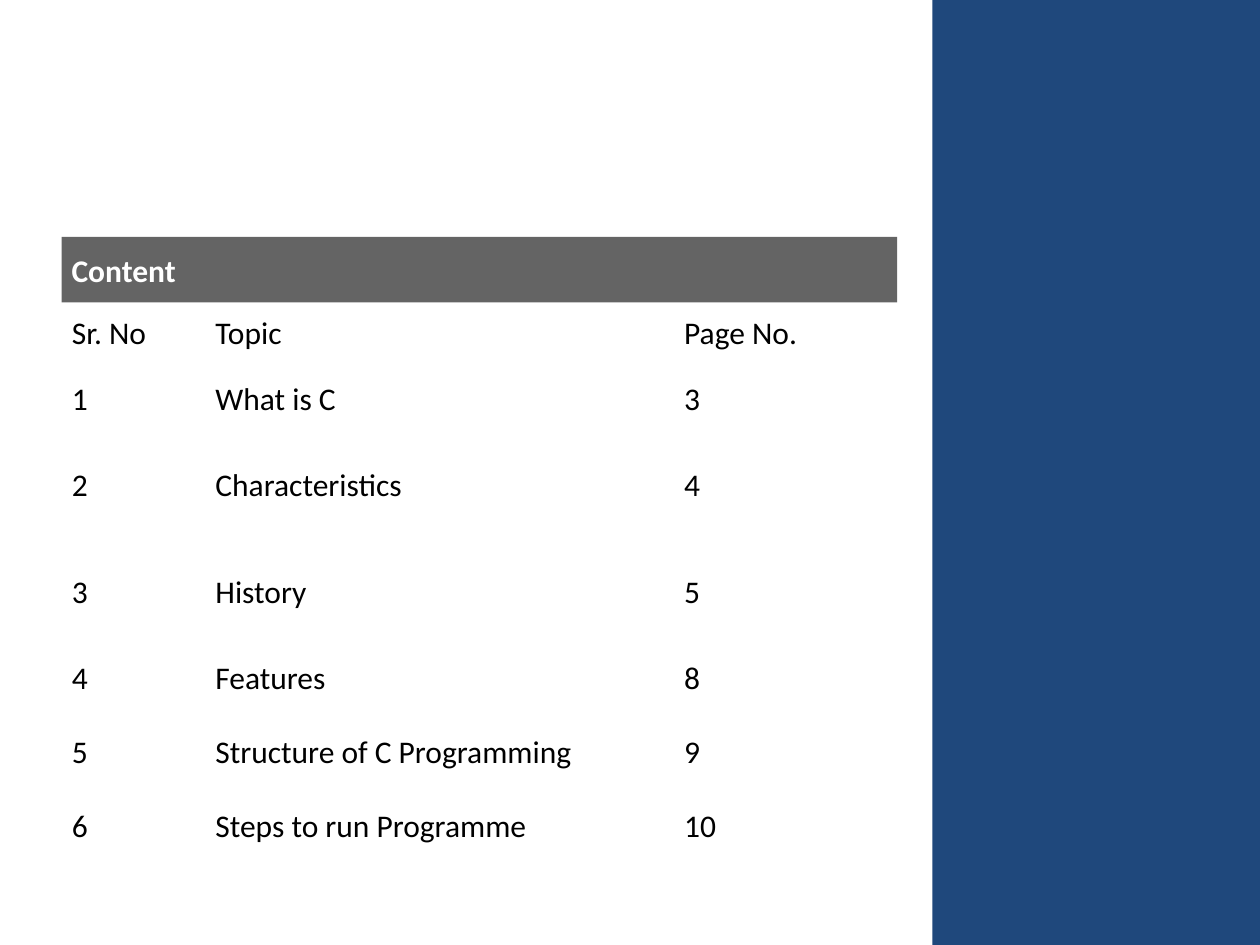
from pptx import Presentation
from pptx.dml.color import RGBColor
from pptx.enum.shapes import MSO_SHAPE as Preset
from pptx.enum.text import MSO_ANCHOR as Anchor
from pptx.oxml.ns import qn
from pptx.util import Inches, Pt

WHITE = RGBColor(0xFF, 0xFF, 0xFF)
BLACK = RGBColor(0x00, 0x00, 0x00)
GREY = RGBColor(0x64, 0x64, 0x64)
NAVY = RGBColor(0x1F, 0x48, 0x7C)
FONT = "Calibri"
NO_STYLE_NO_GRID = "{2D5ABB26-0587-4C30-8999-92F81FD0307C}"

HEADINGS = ("Sr. No", "Topic", "Page No.")
TOPICS = (
    ("What is C", 3),
    ("Characteristics", 4),
    ("History", 5),
    ("Features", 8),
    ("Structure of C Programming", 9),
    ("Steps to run Programme", 10),
)
COLUMN_WIDTHS = (1.14, 3.72, 1.69)
ROW_HEIGHTS = (0.52, 0.52, 0.85, 0.85, 0.52, 0.65, 0.52)


def add_panel(page, left, top, width, height, color):
    panel = page.shapes.add_shape(
        Preset.RECTANGLE, Inches(left), Inches(top), Inches(width), Inches(height)
    )
    panel.shadow.inherit = False
    panel.fill.solid()
    panel.fill.fore_color.rgb = color
    panel.line.fill.background()


def style_text(frame, color, bold=False):
    for para in frame.paragraphs:
        for span in para.runs:
            span.font.name = FONT
            span.font.size = Pt(18)
            span.font.bold = bold
            span.font.color.rgb = color


def add_title(page, text):
    box = page.shapes.add_textbox(
        Inches(0.47), Inches(1.94), Inches(6.64), Inches(2.52)
    )
    box.text_frame.word_wrap = True
    box.text_frame.text = text
    style_text(box.text_frame, WHITE, bold=True)


def add_contents_table(page, rows):
    table = page.shapes.add_table(
        len(rows), len(HEADINGS), Inches(0.47), Inches(2.39),
        Inches(sum(COLUMN_WIDTHS)), Inches(sum(ROW_HEIGHTS)),
    ).table
    table.first_row = False
    table.horz_banding = False
    table._tbl.tblPr.find(qn("a:tableStyleId")).text = NO_STYLE_NO_GRID
    for column, width in zip(table.columns, COLUMN_WIDTHS):
        column.width = Inches(width)
    for row, height, values in zip(table.rows, ROW_HEIGHTS, rows):
        row.height = Inches(height)
        for cell, value in zip(row.cells, values):
            cell.fill.background()
            cell.vertical_anchor = Anchor.MIDDLE
            cell.text_frame.text = str(value)
            style_text(cell.text_frame, BLACK)


def main():
    deck = Presentation()
    deck.slide_width, deck.slide_height = Inches(10), Inches(7.5)
    page = deck.slides.add_slide(deck.slide_layouts[6])
    add_panel(page, 0.49, 1.88, 6.63, 0.52, GREY)
    add_panel(page, 7.4, 0, 2.6, 7.5, NAVY)
    add_title(page, "Content")
    numbered = [(number, *topic) for number, topic in enumerate(TOPICS, 1)]
    add_contents_table(page, [HEADINGS, *numbered])
    deck.save("out.pptx")


if __name__ == "__main__":
    main()
